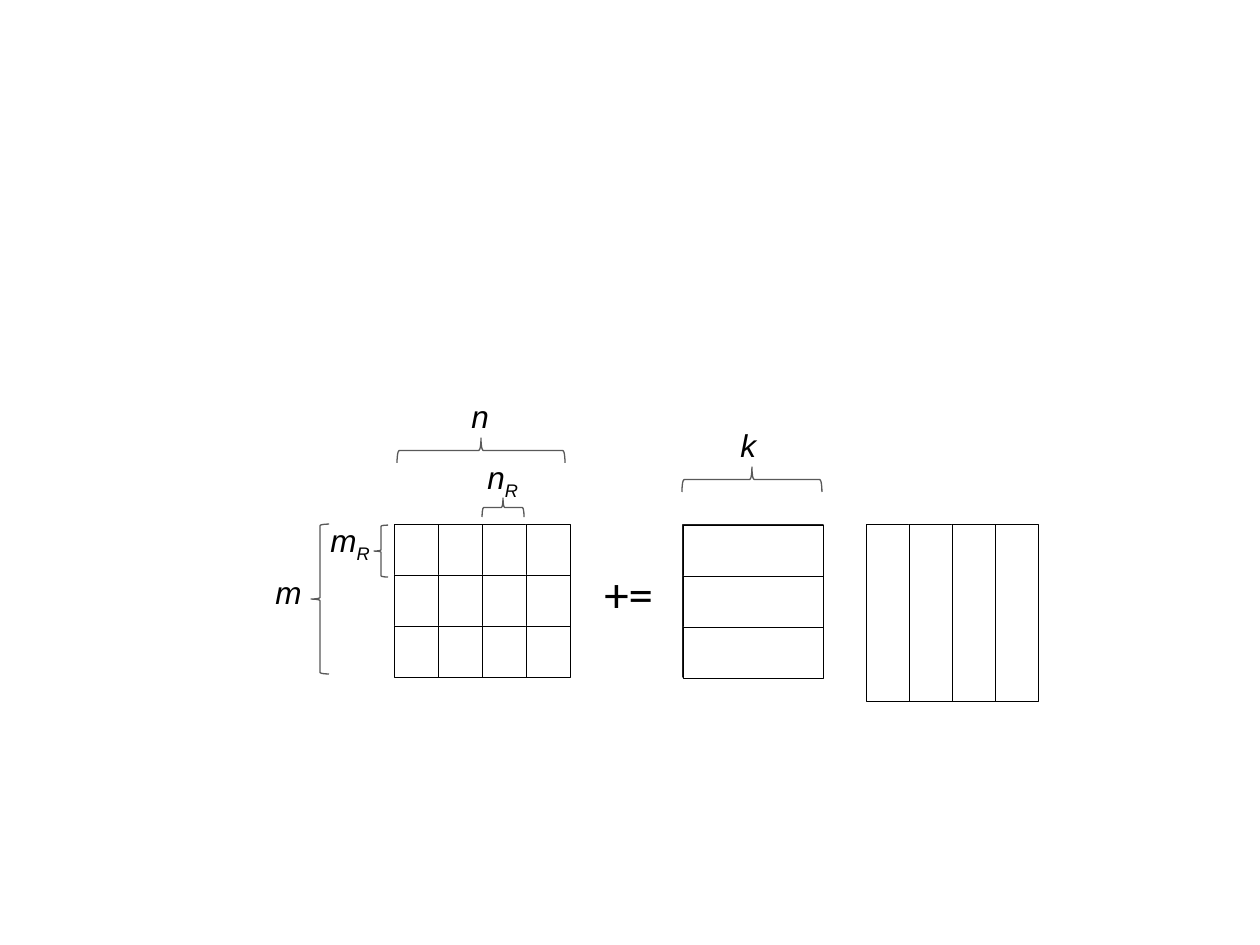
from dataclasses import dataclass

from pptx import Presentation
from pptx.dml.color import RGBColor
from pptx.enum.shapes import MSO_SHAPE
from pptx.enum.text import MSO_AUTO_SIZE
from pptx.util import Emu, Pt

# Lengths in px, 126 to the inch
SLIDE = (1260, 945)

# Blocked matrices: left, top, column count, column step, row count, row step
BLOCKS_C = (394, 524, 4, 44, 3, 51)
ROWS_A = (683, 525, 1, 140, 3, 51)
COLUMNS_B = (866, 524, 4, 43, 1, 177)
FRAME_A = (683, 525, 140, 152)

# Braces as seen: left, top, width, height
BRACES_UP = [(482, 498, 42, 19), (397, 438, 168, 25), (682, 467, 140, 25)]
BRACES_LEFT = [(374, 525, 14, 52), (311, 524, 18, 150)]

# Dimension labels: symbol, subscript, box
LABELS = [
    ("n", "R", (475, 452, 74, 50)),
    ("m", "R", (318, 515, 89, 50)),
    ("m", "", (263, 567, 89, 50)),
    ("n", "", (459, 391, 74, 50)),
    ("k", "", (728, 420, 60, 50)),
]
OPERATOR = ("+=", (592, 557, 74, 72))


@dataclass(frozen=True)
class Theme:
    ink: RGBColor = RGBColor(0, 0, 0)
    paper: RGBColor = RGBColor(255, 255, 255)
    brace: RGBColor = RGBColor(0x59, 0x59, 0x59)
    label_font: str = "Arial"
    label_size: int = 18
    operator_font: str = "Calibri"
    operator_size: int = 28
    cell_line: float = 0.25
    brace_line: float = 0.75
    frame_line: float = 1


THEME = Theme()


def px(*values):
    return [Emu(round(v * 914400 / 126)) for v in values]


def add_rect(shapes, box, line=THEME.cell_line):
    sp = shapes.add_shape(MSO_SHAPE.RECTANGLE, *px(*box))
    sp.shadow.inherit = False
    sp.fill.solid()
    sp.fill.fore_color.rgb = THEME.paper
    sp.line.color.rgb = THEME.ink
    sp.line.width = Pt(line)


def add_matrix(shapes, left, top, cols, dx, rows, dy):
    for col in range(cols):
        for row in range(rows):
            add_rect(shapes, (left + col * dx, top + row * dy, dx, dy))


def add_brace(shapes, box, rotation):
    """Draw a brace that fills box after rotation."""
    left, top, w, h = box
    if rotation == 270:
        left, top, w, h = left + (w - h) / 2, top + (h - w) / 2, h, w
    sp = shapes.add_shape(MSO_SHAPE.RIGHT_BRACE, *px(left, top, w, h))
    sp.shadow.inherit = False
    sp.rotation = rotation
    sp.fill.background()
    sp.line.color.rgb = THEME.brace
    sp.line.width = Pt(THEME.brace_line)


def add_text(shapes, parts, box, font, size, italic=False, wrap=True):
    """Add a line of text; a second part is set as subscript."""
    tf = shapes.add_textbox(*px(*box)).text_frame
    tf.word_wrap = wrap
    tf.auto_size = MSO_AUTO_SIZE.SHAPE_TO_FIT_TEXT
    for i, part in enumerate(parts):
        r = tf.paragraphs[0].add_run()
        r.text = part
        r.font.name = font
        r.font.size = Pt(size)
        r.font.italic = italic
        r.font.color.rgb = THEME.ink
        if i:
            r._r.get_or_add_rPr().set("baseline", "-25000")


def main():
    prs = Presentation()
    prs.slide_width, prs.slide_height = px(*SLIDE)
    s = prs.slides.add_slide(prs.slide_layouts[6])
    shapes = s.shapes.add_group_shape().shapes

    add_rect(shapes, FRAME_A, THEME.frame_line)
    for matrix in (ROWS_A, COLUMNS_B, BLOCKS_C):
        add_matrix(shapes, *matrix)
    for box in BRACES_UP:
        add_brace(shapes, box, 270)
    for box in BRACES_LEFT:
        add_brace(shapes, box, 180)

    for symbol, subscript, box in LABELS:
        parts = [symbol, subscript] if subscript else [symbol]
        add_text(shapes, parts, box, THEME.label_font, THEME.label_size, italic=True)
    operator, box = OPERATOR
    add_text(shapes, [operator], box, THEME.operator_font, THEME.operator_size, wrap=False)

    prs.save("out.pptx")


if __name__ == "__main__":
    main()
